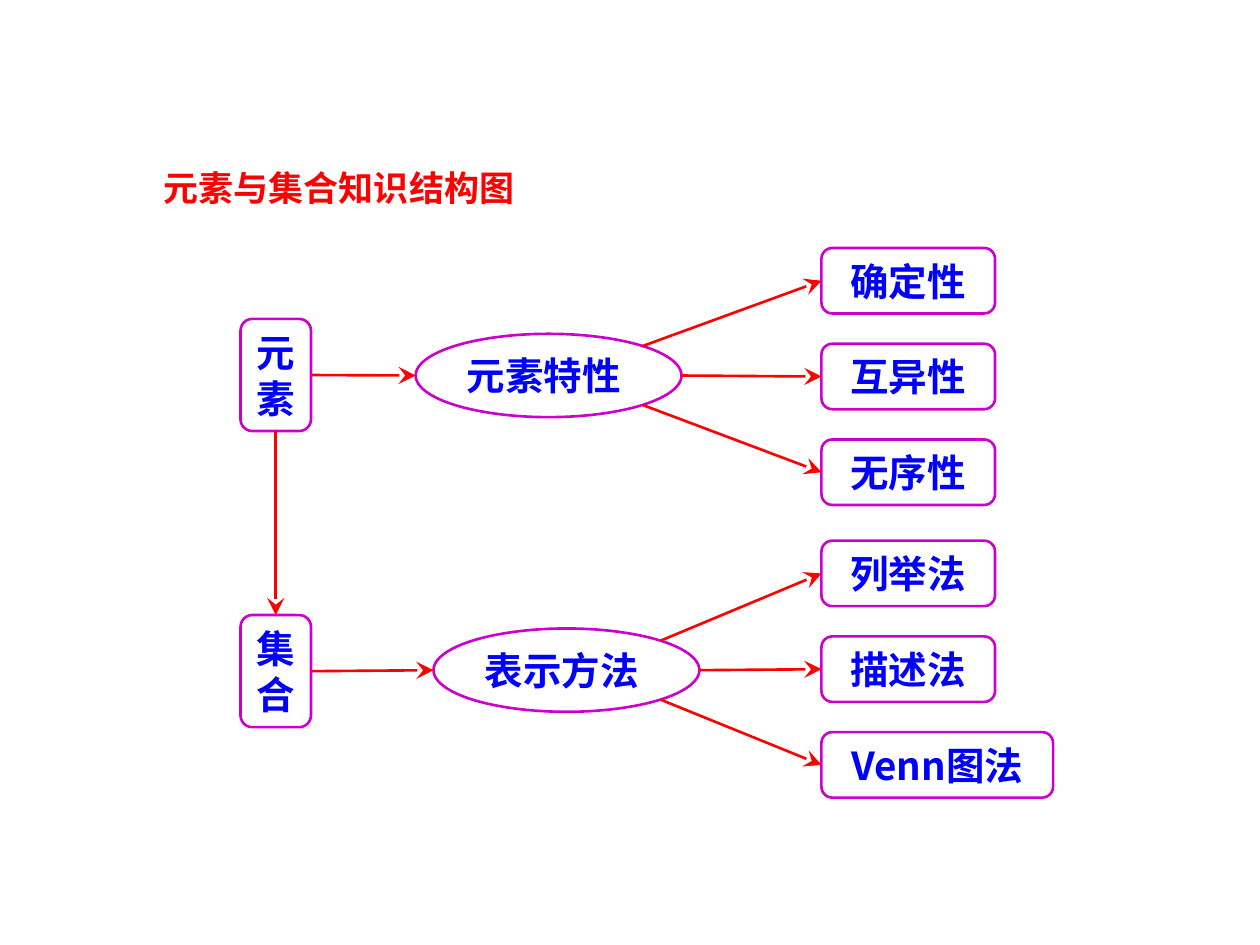
from math import sqrt

from lxml.etree import SubElement
from pptx import Presentation
from pptx.dml.color import RGBColor
from pptx.enum.shapes import MSO_CONNECTOR, MSO_SHAPE
from pptx.enum.text import MSO_ANCHOR, PP_ALIGN
from pptx.oxml.ns import qn
from pptx.util import Cm, Pt

PURPLE, RED, BLUE = "CC00CC", "FF0000", "0000FF"


def write(sp, text, size, color, align, name="Arial"):
    tf = sp.text_frame
    tf.word_wrap = True
    p = tf.paragraphs[0]
    p.alignment = align
    r = p.add_run()
    r.text = text
    for key, value in {"name": name, "size": Pt(size), "bold": True}.items():
        setattr(r.font, key, value)
    r.font.color.rgb = RGBColor.from_string(color)


def node(kind, x, y, w, h, text, align, name="Arial"):
    sp = s.shapes.add_shape(kind, Cm(x), Cm(y), Cm(w), Cm(h))
    sp.shadow.inherit = False
    sp.fill.background()
    sp.line.color.rgb = RGBColor.from_string(PURPLE)
    sp.line.width = Pt(1.5)
    sp.text_frame.vertical_anchor = MSO_ANCHOR.MIDDLE
    write(sp, text, 22, BLUE, align, name)


prs = Presentation()
prs.slide_width, prs.slide_height = Cm(25.4), Cm(19.05)
s = prs.slides.add_slide(prs.slide_layouts[6])

# Title
sp = s.shapes.add_textbox(Cm(1.88), Cm(3.23), Cm(9.91), Cm(1.12))
write(sp, "元素与集合知识结构图", 20, RED, PP_ALIGN.CENTER)

# Rows: stem, stem top, topic, topic left, topic top, first leaf top, leaves
rows = [
    ("元素", 6.43, "元素特性", 8.38, 6.73, 5.0, ["确定性", "互异性", "无序性"]),
    ("集合", 12.4, "表示方法", 8.74, 12.67, 10.9, ["列举法", "描述法", "Venn图法"]),
]
stem_x, stem_w, stem_h = 4.85, 1.42, 2.26
topic_w, topic_h = 5.36, 1.68
leaf_x, leaf_w, leaf_h, leaf_step = 16.56, 3.5, 1.32, 1.93
box = MSO_SHAPE.FLOWCHART_ALTERNATE_PROCESS

# Arrow from the first stem down to the second
mid_x = stem_x + stem_w / 2
arrows = [(mid_x, rows[0][1] + stem_h, mid_x, rows[1][1])]

# Nodes, with the arrows that join them
for stem, stem_y, topic, topic_x, topic_y, leaf_y, leaves in rows:
    node(box, stem_x, stem_y, stem_w, stem_h, stem, PP_ALIGN.LEFT)
    node(MSO_SHAPE.OVAL, topic_x, topic_y, topic_w, topic_h, topic, PP_ALIGN.LEFT)
    cx, cy = topic_x + topic_w / 2, topic_y + topic_h / 2
    arrows.append((stem_x + stem_w, stem_y + stem_h / 2, topic_x, cy))
    for i, leaf in enumerate(leaves):
        y = leaf_y + i * leaf_step
        venn = leaf.startswith("Venn")
        node(box, leaf_x, y, 4.67 if venn else leaf_w, leaf_h, leaf,
             PP_ALIGN.CENTER, "Noto Sans CJK SC" if venn else "Arial")
        # Leave the ellipse at its right end or at 45 degrees
        side = i - 1
        reach = 1 / sqrt(2) if side else 1
        arrows.append((cx + reach * topic_w / 2, cy + side * reach * topic_h / 2,
                       leaf_x, y + leaf_h / 2))

# Arrows
for ends in arrows:
    c = s.shapes.add_connector(MSO_CONNECTOR.STRAIGHT, *[Cm(v) for v in ends])
    c.line.color.rgb = RGBColor.from_string(RED)
    c.line.width = Pt(1.5)
    SubElement(c.line._get_or_add_ln(), qn("a:tailEnd"), type="stealth", w="lg", len="lg")
    SubElement(c._element.spPr, qn("a:effectLst"))

prs.save("out.pptx")
